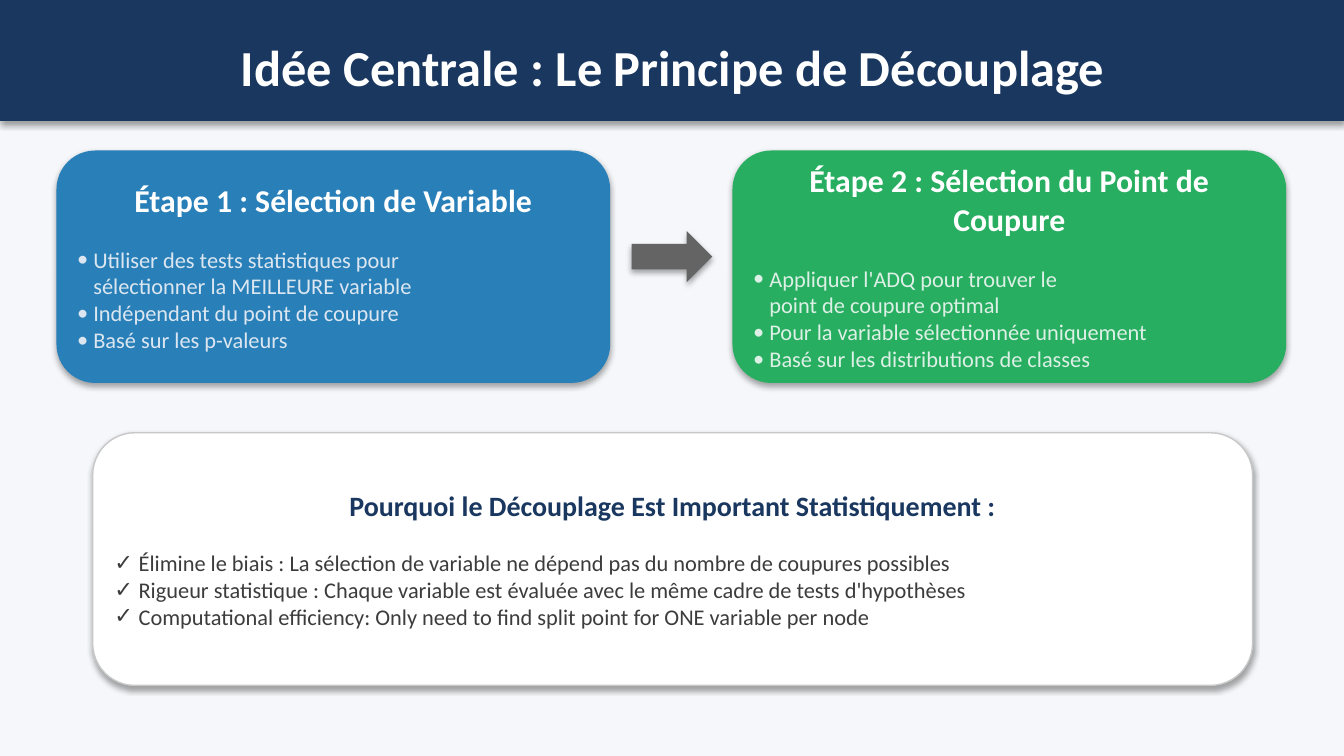
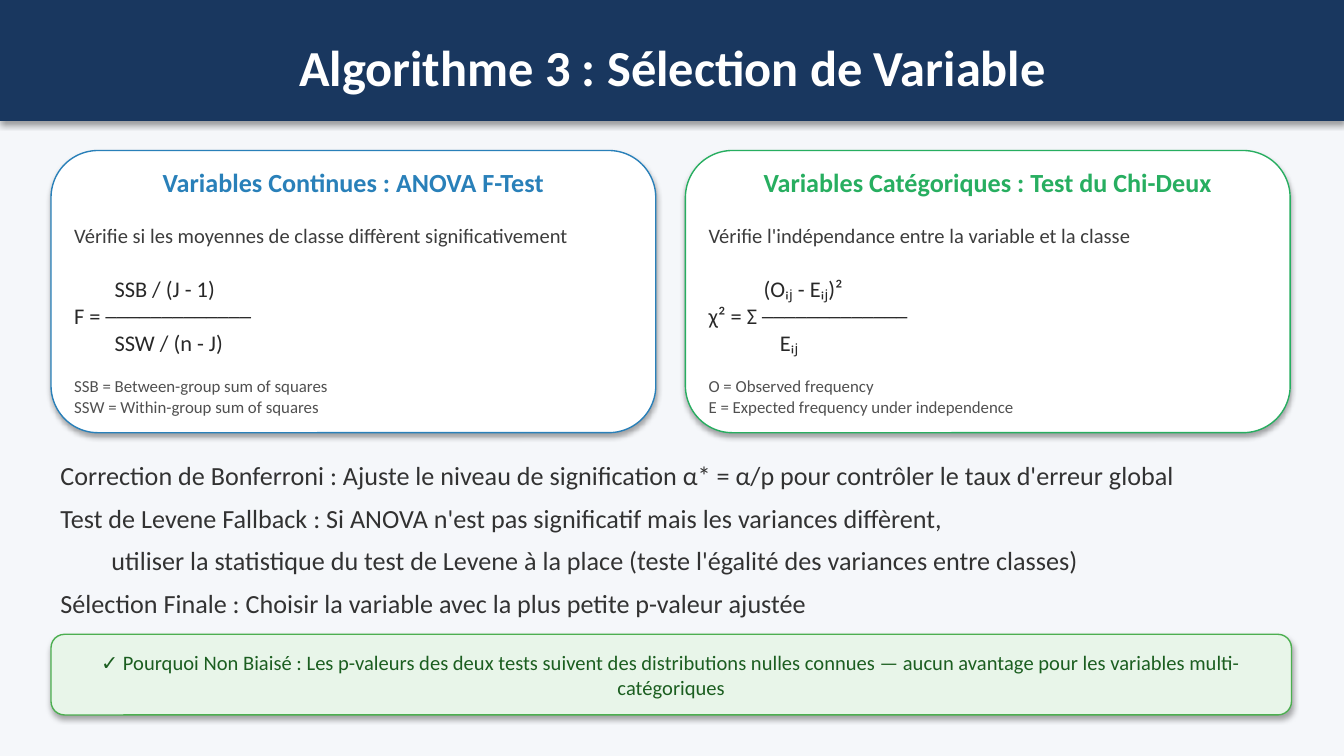
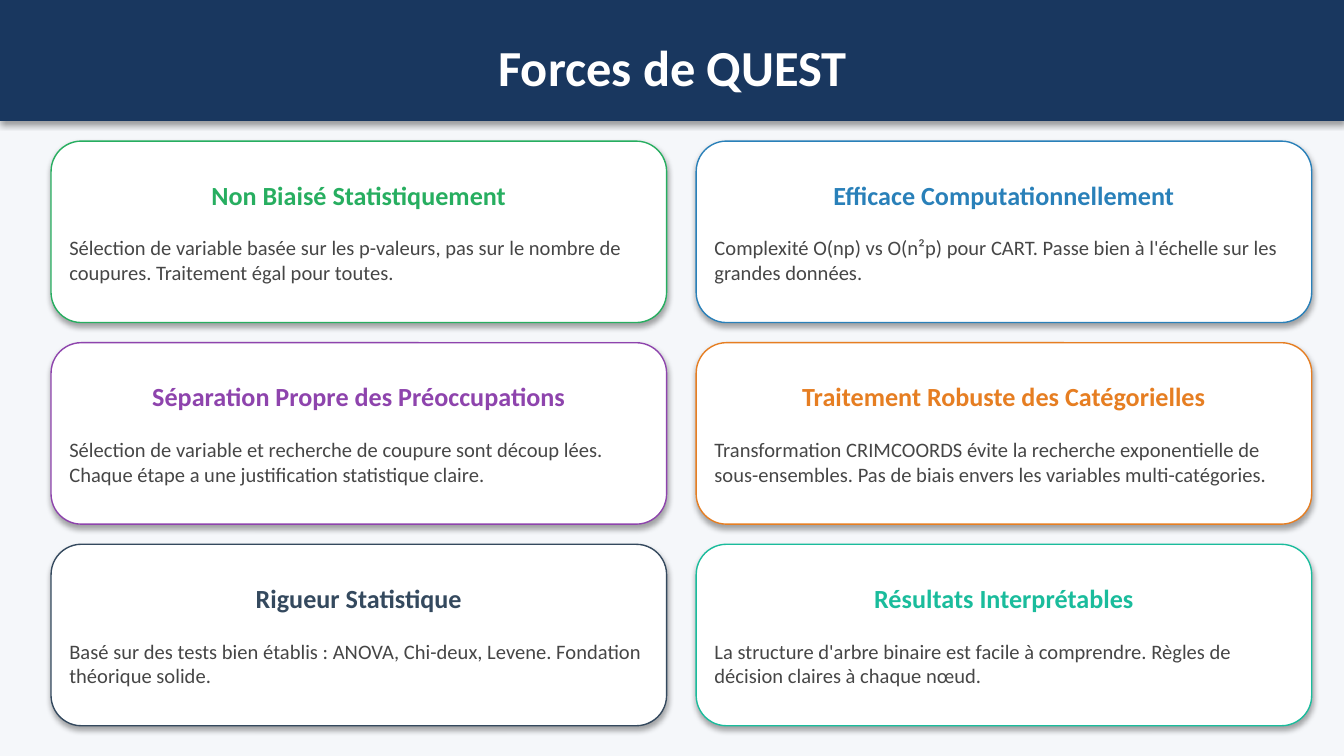
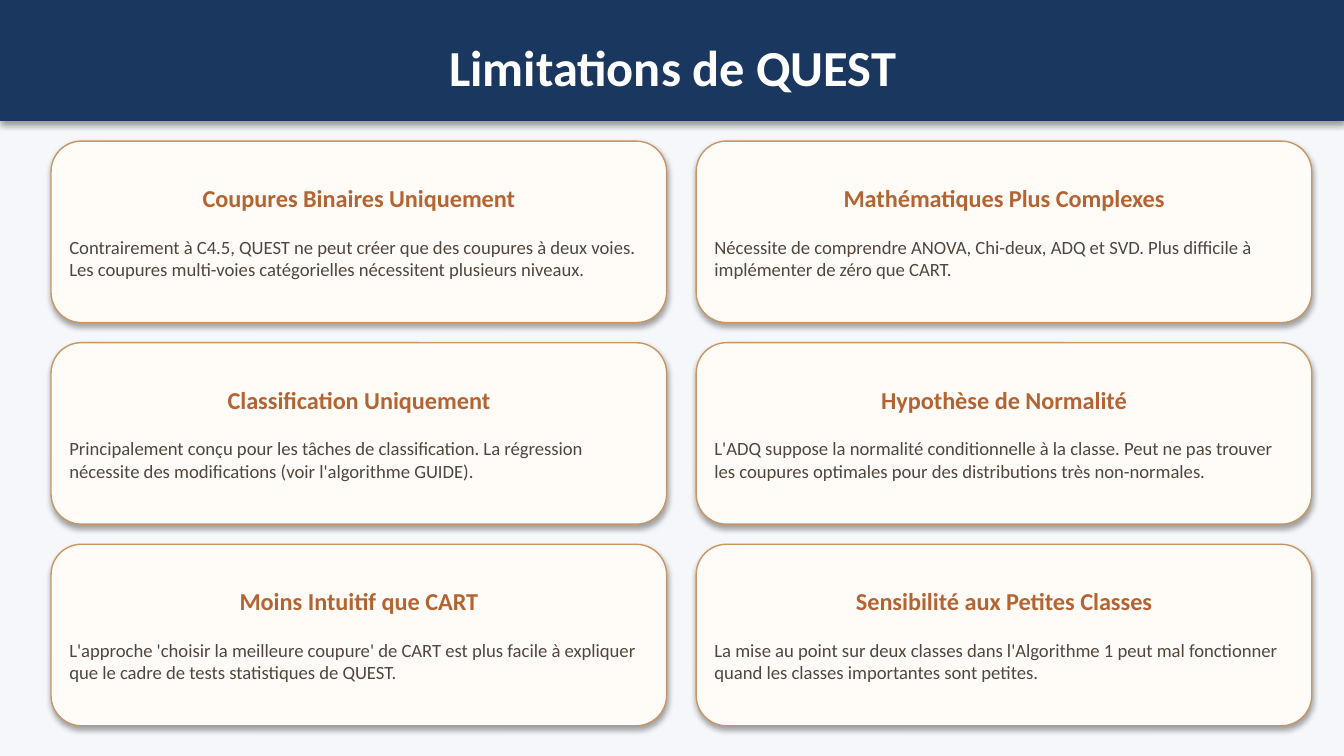
from lxml import etree
from pptx import Presentation
from pptx.dml.color import RGBColor
from pptx.enum.shapes import MSO_SHAPE
from pptx.enum.text import MSO_ANCHOR, MSO_AUTO_SIZE, PP_ALIGN
from pptx.oxml.ns import qn
from pptx.util import Inches, Pt

RECT = MSO_SHAPE.RECTANGLE
ROUND = MSO_SHAPE.ROUNDED_RECTANGLE
ARROW = MSO_SHAPE.RIGHT_ARROW
TOP = MSO_ANCHOR.TOP
GROW = MSO_AUTO_SIZE.SHAPE_TO_FIT_TEXT
LEFT, CENTER = PP_ALIGN.LEFT, PP_ALIGN.CENTER

FONT = "Calibri"
NAVY, BLUE, GREEN, WHITE = "19375F", "2980B9", "27AE60", "FFFFFF"
DARK = "3C3C3C"
LINE = 1.22  # height of one line relative to its font size


def write(shape, text, size=12, color=DARK, bold=False, align=LEFT,
          gap=0, indent=0, bullet=None, hang=0, level=0):
    """Add a paragraph to the shape; gap is the space before it in points."""
    frame = shape.text_frame
    frame.word_wrap = True
    frame.margin_left = frame.margin_right = Inches(0.07)
    frame.margin_top = frame.margin_bottom = Inches(0.04)
    para = frame.add_paragraph() if frame.text else frame.paragraphs[0]
    para.text = text
    para.alignment = align
    para.level = level
    props = para._p.get_or_add_pPr()
    if indent or bullet:
        props.set("marL", str(Inches(indent + hang)))
        props.set("indent", str(-Inches(hang)))
    if bullet:
        etree.SubElement(props, qn("a:buFont")).set("typeface", FONT)
        etree.SubElement(props, qn("a:buChar")).set("char", bullet)
    if gap:
        para.space_before = Pt(gap)
    for run in para.runs:
        run.font.name = FONT
        run.font.size = Pt(size)
        run.font.bold = bold
        run.font.color.rgb = RGBColor.from_string(color)


def box(slide, kind, x, y, w, h, fill, line=None):
    """Add a filled shape that keeps the soft shadow of the theme."""
    shape = slide.shapes.add_shape(kind, Inches(x), Inches(y), Inches(w), Inches(h))
    shape.fill.solid()
    shape.fill.fore_color.rgb = RGBColor.from_string(fill)
    if line:
        shape.line.color.rgb = RGBColor.from_string(line)
        shape.line.width = Pt(0.75)
    else:
        shape.line.fill.background()
    return shape


prs = Presentation()
prs.slide_width, prs.slide_height = Inches(10), Inches(10 * 9 / 16)
back = prs.slide_master.background.fill
back.solid()
back.fore_color.rgb = RGBColor.from_string("F5F7FA")

# Band and title of every slide
slides = []
for text in [
    "Idée Centrale : Le Principe de Découplage",
    "Algorithme 3 : Sélection de Variable",
    "Forces de QUEST",
    "Limitations de QUEST",
]:
    slide = prs.slides.add_slide(prs.slide_layouts[5])
    band = box(slide, RECT, 0, 0, 10, 0.9, NAVY)
    title = slide.shapes.title
    band._element.addnext(title._element)
    title.left, title.top = Inches(0.38), Inches(0.23)
    title.width, title.height = Inches(9.25), Inches(0.6)
    write(title, text, size=27, color=WHITE, bold=True, align=CENTER)
    title.text_frame.vertical_anchor = TOP
    title.text_frame.auto_size = GROW
    slides.append(slide)
idea, tests, pros, cons = slides

# Slide 1: the two steps and the reasons
steps = [
    (0.42, BLUE, "DCE6F0", "Étape 1 : Sélection de Variable",
     ["Utiliser des tests statistiques pour\vsélectionner la MEILLEURE variable",
      "Indépendant du point de coupure",
      "Basé sur les p-valeurs"]),
    (5.45, GREEN, "DCF0E6", "Étape 2 : Sélection du Point de Coupure",
     ["Appliquer l'ADQ pour trouver le\vpoint de coupure optimal",
      "Pour la variable sélectionnée uniquement",
      "Basé sur les distributions de classes"]),
]
for x, fill, pale, head, items in steps:
    step = box(idea, ROUND, x, 1.12, 4.12, 1.73, fill)
    write(step, head, size=17, color=WHITE, bold=True, align=CENTER)
    for i, item in enumerate(items):
        write(step, item, color=pale, bullet="•", hang=0.12,
              gap=0 if i else 12 * LINE)
box(idea, ARROW, 4.7, 1.72, 0.6, 0.38, "646464")

why = box(idea, ROUND, 0.69, 3.22, 8.63, 1.88, WHITE, "C8C8C8")
write(why, "Pourquoi le Découplage Est Important Statistiquement :",
      size=15, color=NAVY, bold=True, align=CENTER)
for i, item in enumerate([
    "Élimine le biais : La sélection de variable ne dépend pas du nombre de coupures possibles",
    "Rigueur statistique : Chaque variable est évaluée avec le même cadre de tests d'hypothèses",
    "Computational efficiency: Only need to find split point for ONE variable per node",
]):
    write(why, item, bullet="✓", hang=0.18, gap=0 if i else 12 * LINE)

# Slide 2: the two tests, each with its formula as (text, indent)
panels = [
    (0.38, BLUE, "Variables Continues : ANOVA F-Test",
     "Vérifie si les moyennes de classe diffèrent significativement",
     [("SSB / (J - 1)", 0.3), ("F = ─────────────", 0), ("SSW / (n - J)", 0.3)],
     ["SSB = Between-group sum of squares", "SSW = Within-group sum of squares"]),
    (5.1, GREEN, "Variables Catégoriques : Test du Chi-Deux",
     "Vérifie l'indépendance entre la variable et la classe",
     [("(Oᵢⱼ - Eᵢⱼ)²", 0.41), ("χ² = Σ ─────────────", 0), ("Eᵢⱼ", 0.53)],
     ["O = Observed frequency", "E = Expected frequency under independence"]),
]
for x, tone, head, goal, rows, keys in panels:
    panel = box(tests, ROUND, x, 1.12, 4.5, 2.1, WHITE, tone)
    write(panel, head, size=14, color=tone, bold=True, align=CENTER)
    write(panel, goal, size=11, gap=11 * LINE)
    for i, (row, indent) in enumerate(rows):
        write(panel, row, color="282828", indent=indent, gap=0 if i else 12 * LINE)
    for i, key in enumerate(keys):
        write(panel, key, size=9, color="505050", gap=0 if i else 9 * LINE)

notes = tests.shapes.add_textbox(Inches(0.38), Inches(3.38), Inches(9.23), Inches(1.88))
for i, (text, level) in enumerate([
    ("Correction de Bonferroni : Ajuste le niveau de signification α* = α/p pour contrôler le taux d'erreur global", 0),
    ("Test de Levene Fallback : Si ANOVA n'est pas significatif mais les variances diffèrent,", 0),
    ("utiliser la statistique du test de Levene à la place (teste l'égalité des variances entre classes)", 1),
    ("Sélection Finale : Choisir la variable avec la plus petite p-valeur ajustée", 0),
]):
    write(notes, text, size=14, color="323232", level=level,
          indent=0.38 * level, gap=6 if i else 0)
notes.text_frame.auto_size = GROW

proof = box(tests, ROUND, 0.38, 4.72, 9.23, 0.6, "E8F5E9", "4CAF50")
write(proof, "✓ Pourquoi Non Biaisé : Les p-valeurs des deux tests suivent des distributions "
      "nulles connues — aucun avantage pour les variables multi-catégoriques",
      size=11, color="1B5E20", align=CENTER)

# Slides 3 and 4: cards in two columns and three rows
gains = [
    (GREEN, "Non Biaisé Statistiquement",
     "Sélection de variable basée sur les p-valeurs, pas sur le nombre de coupures. Traitement égal pour toutes."),
    (BLUE, "Efficace Computationnellement",
     "Complexité O(np) vs O(n²p) pour CART. Passe bien à l'échelle sur les grandes données."),
    ("8E44AD", "Séparation Propre des Préoccupations",
     "Sélection de variable et recherche de coupure sont découp lées. Chaque étape a une justification statistique claire."),
    ("E67E22", "Traitement Robuste des Catégorielles",
     "Transformation CRIMCOORDS évite la recherche exponentielle de sous-ensembles. "
     "Pas de biais envers les variables multi-catégories."),
    ("34495E", "Rigueur Statistique",
     "Basé sur des tests bien établis : ANOVA, Chi-deux, Levene. Fondation théorique solide."),
    ("1ABC9C", "Résultats Interprétables",
     "La structure d'arbre binaire est facile à comprendre. Règles de décision claires à chaque nœud."),
]
RUST = "B46432"
limits = [
    (RUST, "Coupures Binaires Uniquement",
     "Contrairement à C4.5, QUEST ne peut créer que des coupures à deux voies. "
     "Les coupures multi-voies catégorielles nécessitent plusieurs niveaux."),
    (RUST, "Mathématiques Plus Complexes",
     "Nécessite de comprendre ANOVA, Chi-deux, ADQ et SVD. Plus difficile à implémenter de zéro que CART."),
    (RUST, "Classification Uniquement",
     "Principalement conçu pour les tâches de classification. "
     "La régression nécessite des modifications (voir l'algorithme GUIDE)."),
    (RUST, "Hypothèse de Normalité",
     "L'ADQ suppose la normalité conditionnelle à la classe. "
     "Peut ne pas trouver les coupures optimales pour des distributions très non-normales."),
    (RUST, "Moins Intuitif que CART",
     "L'approche 'choisir la meilleure coupure' de CART est plus facile à expliquer "
     "que le cadre de tests statistiques de QUEST."),
    (RUST, "Sensibilité aux Petites Classes",
     "La mise au point sur deux classes dans l'Algorithme 1 peut mal fonctionner "
     "quand les classes importantes sont petites."),
]
for slide, cards, fill, edge, ink, size in [
    (pros, gains, WHITE, None, "464646", 11),
    (cons, limits, "FFFCF8", "C89664", "50463C", 10),
]:
    for i, (tone, head, body) in enumerate(cards):
        card = box(slide, ROUND, 0.38 + 4.8 * (i % 2), 1.05 + 1.5 * (i // 2),
                   4.58, 1.35, fill, edge or tone)
        write(card, head, size=size + 3, color=tone, bold=True, align=CENTER)
        write(card, body, size=size, color=ink, gap=size * LINE)

prs.save("out.pptx")
